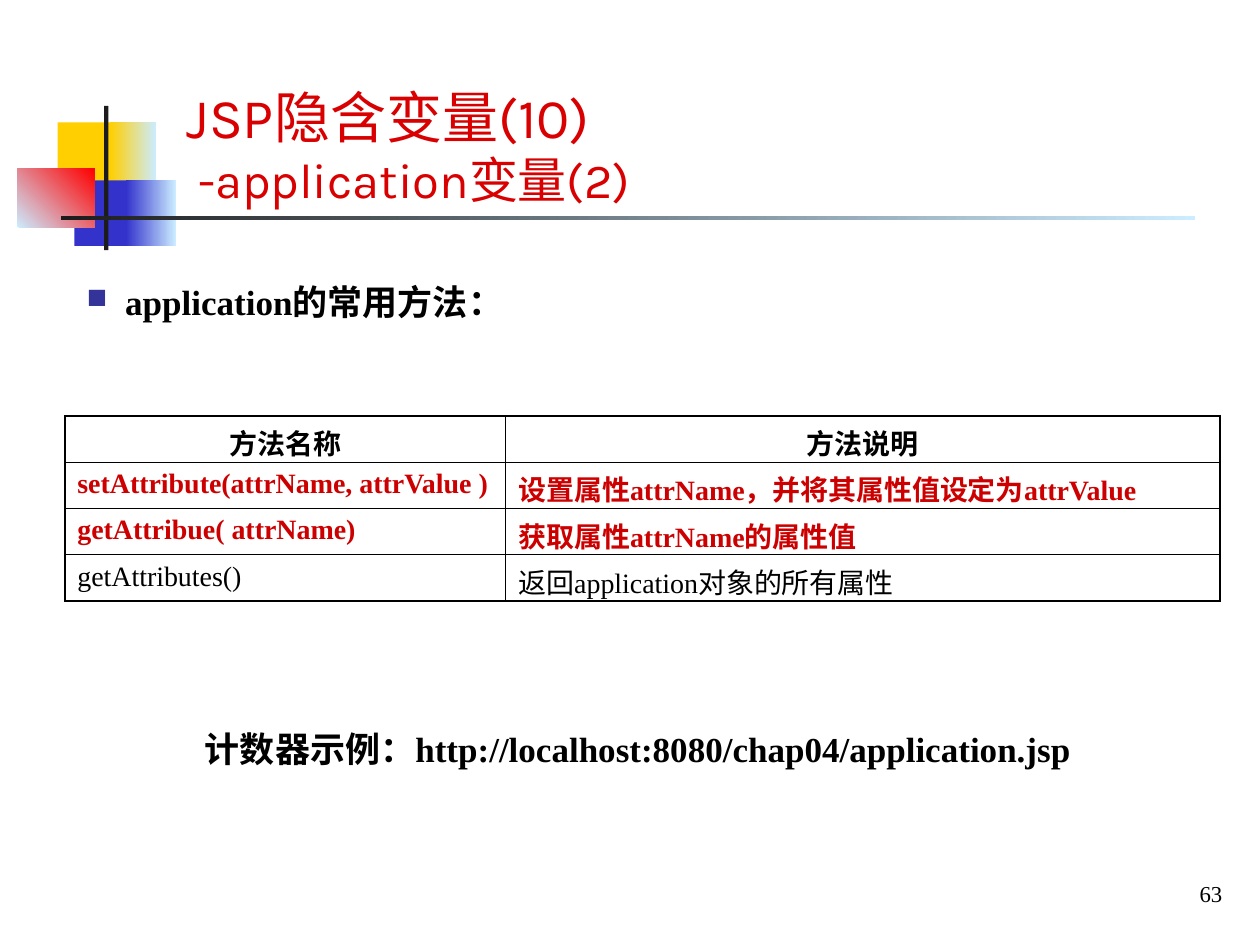
from lxml import etree
from pptx import Presentation
from pptx.dml.color import RGBColor
from pptx.enum.shapes import MSO_SHAPE
from pptx.enum.text import MSO_ANCHOR, PP_ALIGN
from pptx.oxml.ns import qn
from pptx.util import Pt

RECTANGLE = MSO_SHAPE.RECTANGLE
TOP, MIDDLE, BOTTOM = MSO_ANCHOR.TOP, MSO_ANCHOR.MIDDLE, MSO_ANCHOR.BOTTOM
LEFT, CENTER, RIGHT = PP_ALIGN.LEFT, PP_ALIGN.CENTER, PP_ALIGN.RIGHT
SERIF, SANS = "Times New Roman", "Karla"
BLACK, INK, PALE = "000000", "1C1C1C", "CCECFF"
YELLOW, BLUE, RED = "FFCF01", "3333CC", "FF0000"
TITLE_RED, KEY_RED, BULLET_BLUE = "D80000", "CC0000", "333399"
THICK, THIN = 1.08, 0.45
METHODS = [
    ("方法名称", "方法说明"),
    ("setAttribute(attrName, attrValue )", "设置属性attrName，并将其属性值设定为attrValue"),
    ("getAttribue( attrName)", "获取属性attrName的属性值"),
    ("getAttributes()", "返回application对象的所有属性"),
]


def color(value):
    """Turn a hex string into a colour."""
    return RGBColor.from_string(value)


def style(para, size, ink=BLACK, bold=False, name=SERIF, align=LEFT):
    """Format a paragraph and all its runs."""
    para.alignment = align
    for span in para.runs:
        span.font.size, span.font.bold, span.font.name = Pt(size), bold, name
        span.font.color.rgb = color(ink)


def add_text(page, box, text, anchor=TOP, wrap=True):
    """Place a text box and return its only paragraph."""
    frame = page.shapes.add_textbox(*map(Pt, box)).text_frame
    frame.word_wrap = wrap
    frame.vertical_anchor = anchor
    para = frame.paragraphs[0]
    para.text = text
    return para


def add_block(page, box, start, end=None, angle=0):
    """Draw a borderless rectangle, plain or fading from start to end."""
    shape = page.shapes.add_shape(RECTANGLE, *map(Pt, box))
    shape.shadow.inherit = False
    shape.line.fill.background()
    if end is None:
        shape.fill.solid()
        shape.fill.fore_color.rgb = color(start)
        return
    shape.fill.gradient()
    shape.fill.gradient_angle = angle
    for stop, value, position in zip(shape.fill.gradient_stops, (start, end), (0, 1)):
        stop.color.rgb = color(value)
        stop.position = position


def add_ornament(page, box):
    """Draw the coloured squares and the crossing rules."""
    left, top, width, height = box
    add_block(page, (left + 23, top + 9.5, 34.5, 37.5), YELLOW)
    add_block(page, (left + 53, top + 9.5, 26, 37.5), YELLOW, PALE)
    add_block(page, (left + 32.5, top + 42.5, 33, 37.5), BLUE)
    add_block(page, (left + 62, top + 42.5, 28.5, 37.5), BLUE, PALE)
    add_block(page, (left, top + 36, 44, 33.5), PALE, RED, 45)
    add_block(page, (left + 49.5, top, 2.5, height), INK)
    add_block(page, (left + 25, top + 62.9, width - 25, 2.4), INK, PALE)


def add_title(page, box):
    """Write the two-line title, its second line smaller."""
    para = add_text(page, box, "JSP隐含变量(10)\v -application变量(2)", BOTTOM)
    style(para, 32, TITLE_RED, name=SANS)
    para.runs[1].font.size = Pt(28)


def add_bullet(page, box, text):
    """Write a bold line with a square bullet."""
    para = add_text(page, box, text)
    props = para._p.get_or_add_pPr()
    props.set("marL", str(Pt(22)))
    props.set("indent", str(-Pt(22)))
    tint = etree.SubElement(props, qn("a:buClr"))
    etree.SubElement(tint, qn("a:srgbClr"), val=BULLET_BLUE)
    etree.SubElement(props, qn("a:buSzPct"), val="80000")
    etree.SubElement(props, qn("a:buChar"), char="■")
    style(para, 20, bold=True)


def set_borders(cell, widths):
    """Give a cell black borders: left, right, top and bottom."""
    props = cell._tc.get_or_add_tcPr()
    for index, (side, width) in enumerate(zip("LRTB", widths)):
        line = etree.Element(qn(f"a:ln{side}"), w=str(Pt(width)))
        fill = etree.SubElement(line, qn("a:solidFill"))
        etree.SubElement(fill, qn("a:srgbClr"), val=BLACK)
        props.insert(index, line)


def add_methods(page, box):
    """Build the table of methods with a heavier outer frame."""
    last_row, last_column = len(METHODS) - 1, len(METHODS[0]) - 1
    frame = page.shapes.add_table(last_row + 1, last_column + 1, *map(Pt, box))
    table = frame.table
    table.first_row = table.horz_banding = False
    table.columns[0].width = Pt(252)
    table.columns[1].width = Pt(box[2] - 252)
    for r, row in enumerate(METHODS):
        for c, text in enumerate(row):
            cell = table.cell(r, c)
            cell.fill.background()
            para = cell.text_frame.paragraphs[0]
            para.text = text
            style(para, 16, KEY_RED if 0 < r < last_row else BLACK,
                  bold=r < last_row, align=LEFT if r else CENTER)
            edges = (c == 0, c == last_column, r == 0, r == last_row)
            set_borders(cell, [THICK if edge else THIN for edge in edges])


def main():
    """Build the slide and save it."""
    deck = Presentation()
    deck.slide_width, deck.slide_height = Pt(720), Pt(540)
    page = deck.slides.add_slide(deck.slide_layouts[6])
    add_ornament(page, (10, 60.5, 673, 82.5))
    number = add_text(page, (568, 497, 137.5, 26.5), "63", MIDDLE, False)
    style(number, 13, align=RIGHT)
    add_title(page, (99.5, 37.5, 527, 85))
    add_bullet(page, (42.5, 157, 618, 31), "application的常用方法：")
    add_methods(page, (37, 237.6, 660, 106))
    example = add_text(page, (110, 412, 514, 31),
                       "计数器示例：http://localhost:8080/chap04/application.jsp", wrap=False)
    style(example, 20, bold=True)
    deck.save("out.pptx")


if __name__ == "__main__":
    main()
